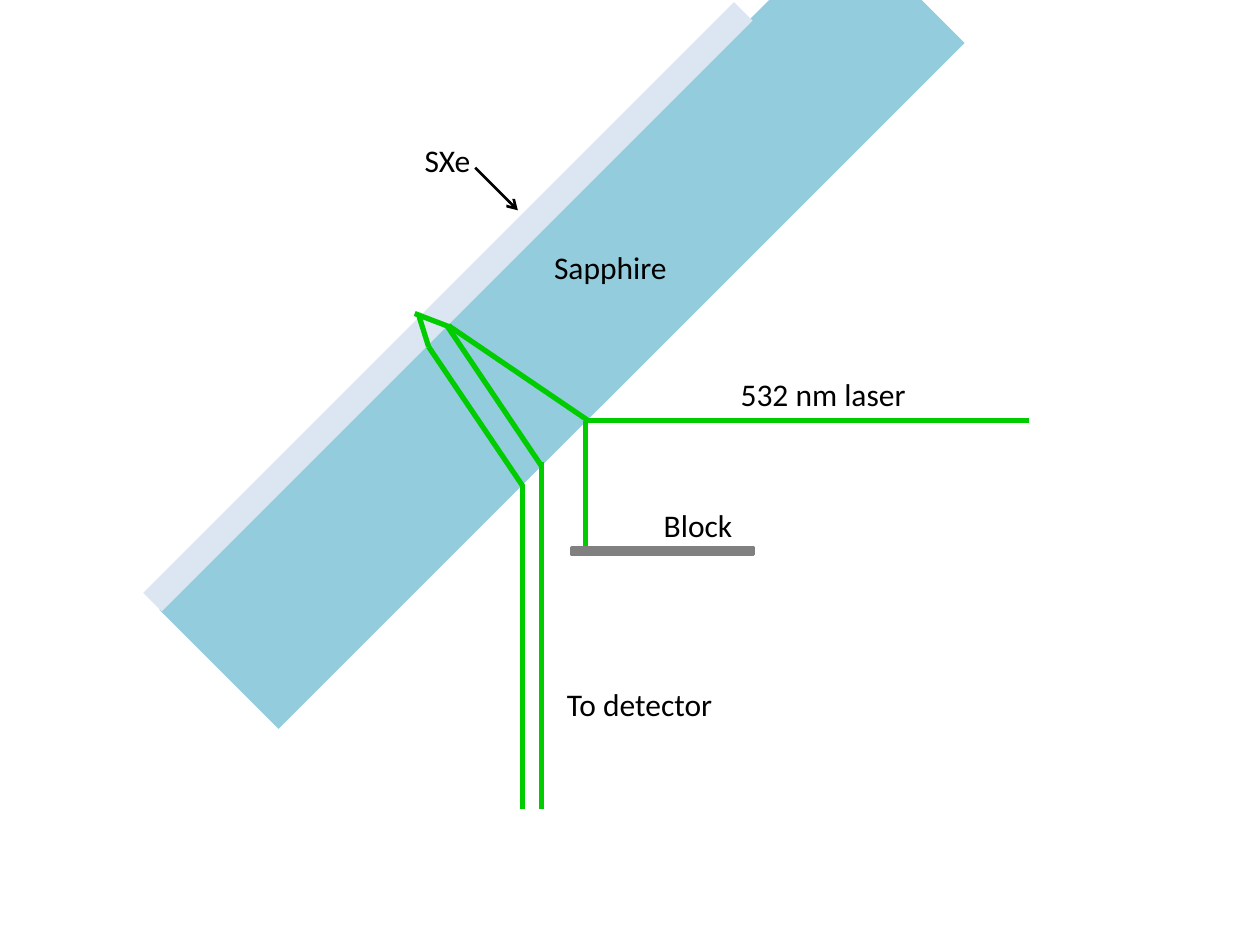
from lxml.etree import SubElement
from pptx import Presentation
from pptx.dml.color import RGBColor
from pptx.enum.shapes import MSO_CONNECTOR, MSO_SHAPE
from pptx.enum.text import MSO_AUTO_SIZE
from pptx.oxml.ns import qn
from pptx.util import Cm, Pt

SAPPHIRE = RGBColor(0x93, 0xCD, 0xDD)
XENON = RGBColor(0xDC, 0xE6, 0xF2)
LASER = RGBColor(0x00, 0xCC, 0x00)
GREY = RGBColor(0x80, 0x80, 0x80)
BLACK = RGBColor(0x00, 0x00, 0x00)

prs = Presentation()
prs.slide_width, prs.slide_height = Cm(25.4), Cm(19.05)
s = prs.slides.add_slide(prs.slide_layouts[6])


def add_bar(left, top, width, height, color, rotation=0):
    """Add a plain filled rectangle, sizes in cm, and return it."""
    bar = s.shapes.add_shape(MSO_SHAPE.RECTANGLE, Cm(left), Cm(top), Cm(width), Cm(height))
    bar.shadow.inherit = False
    bar.fill.solid()
    bar.fill.fore_color.rgb = color
    bar.line.fill.background()
    bar.rotation = rotation
    return bar


def add_line(x1, y1, x2, y2, color=LASER, weight=3):
    """Add a straight line between two points in cm and return it."""
    line = s.shapes.add_connector(MSO_CONNECTOR.STRAIGHT, Cm(x1), Cm(y1), Cm(x2), Cm(y2))
    line.line.color.rgb = color
    line.line.width = Pt(weight)
    SubElement(line._element.spPr, qn("a:effectLst"))
    return line


# Sapphire window with the incoming beam, then the xenon layer over it
add_bar(1.55, 4.88, 19.56, 3.4, SAPPHIRE, 315)
add_line(20.75, 8.48, 11.81, 8.48)
add_line(11.86, 8.48, 9.02, 6.55)
add_bar(0.61, 5.92, 16.84, 0.53, XENON, 315)

# Refracted and reflected beams
for ends in [
    (9.04, 6.58, 8.36, 6.32),
    (8.64, 6.99, 8.43, 6.32),
    (10.54, 9.8, 8.64, 6.99),
    (10.54, 16.31, 10.54, 9.78),
    (11.81, 11.05, 11.81, 8.48),
    (10.92, 9.4, 9.02, 6.58),
    (10.92, 16.31, 10.92, 9.32),
]:
    add_line(*ends)

block = add_bar(11.53, 11.05, 3.66, 0.13, GREY)
block.line.color.rgb = GREY
block.line.width = Pt(2)

# Labels
for text, left, top, width in [
    ("To detector", 11.18, 13.69, 3.48),
    ("Block ", 13.13, 10.08, 2.06),
    ("Sapphire", 10.92, 4.88, 2.82),
    ("SXe", 8.31, 2.72, 1.45),
    ("532 nm laser", 14.68, 7.44, 3.89),
]:
    tf = s.shapes.add_textbox(Cm(left), Cm(top), Cm(width), Cm(1.02)).text_frame
    tf.word_wrap = False
    tf.auto_size = MSO_AUTO_SIZE.SHAPE_TO_FIT_TEXT
    r = tf.paragraphs[0].add_run()
    r.text = text
    r.font.name = "Calibri"
    r.font.size = Pt(18)
    r.font.color.rgb = BLACK

pointer = add_line(9.58, 3.38, 10.44, 4.24, BLACK, 1.5)
SubElement(pointer.line._get_or_add_ln(), qn("a:tailEnd"), type="arrow")

prs.save("out.pptx")
